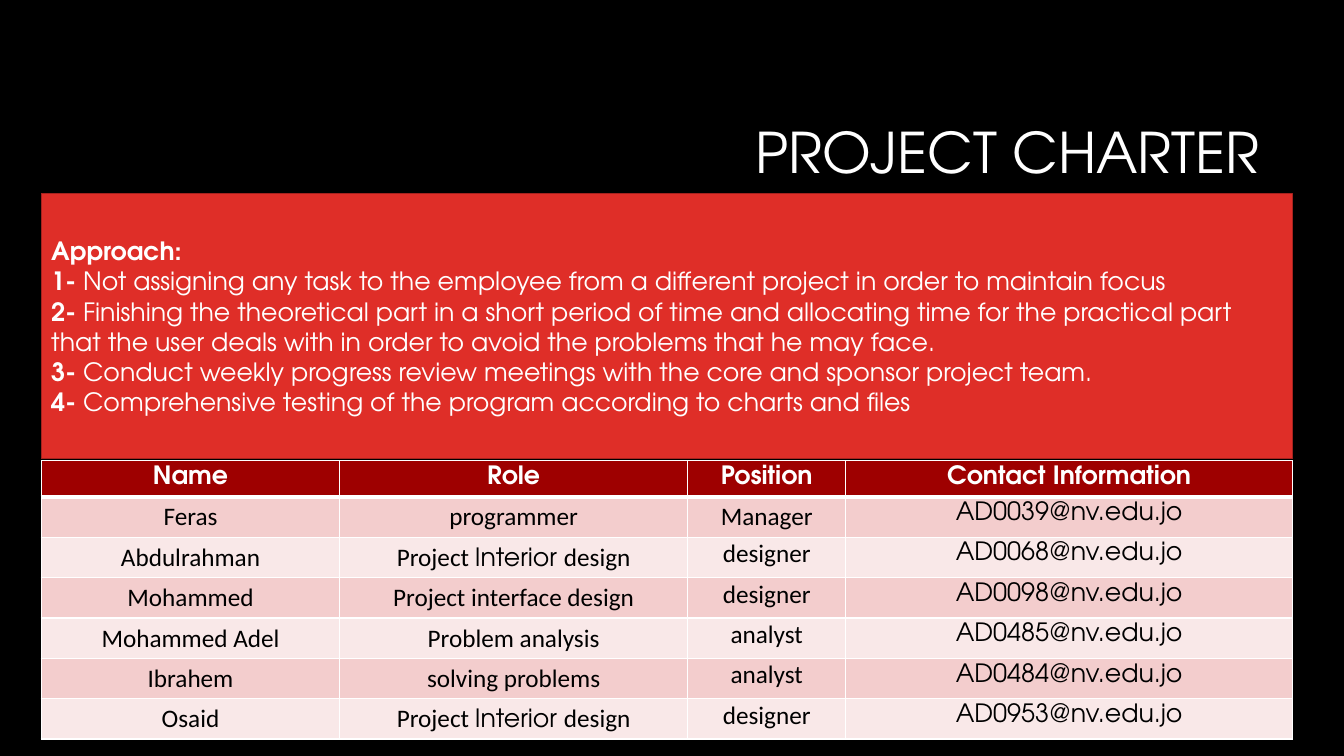
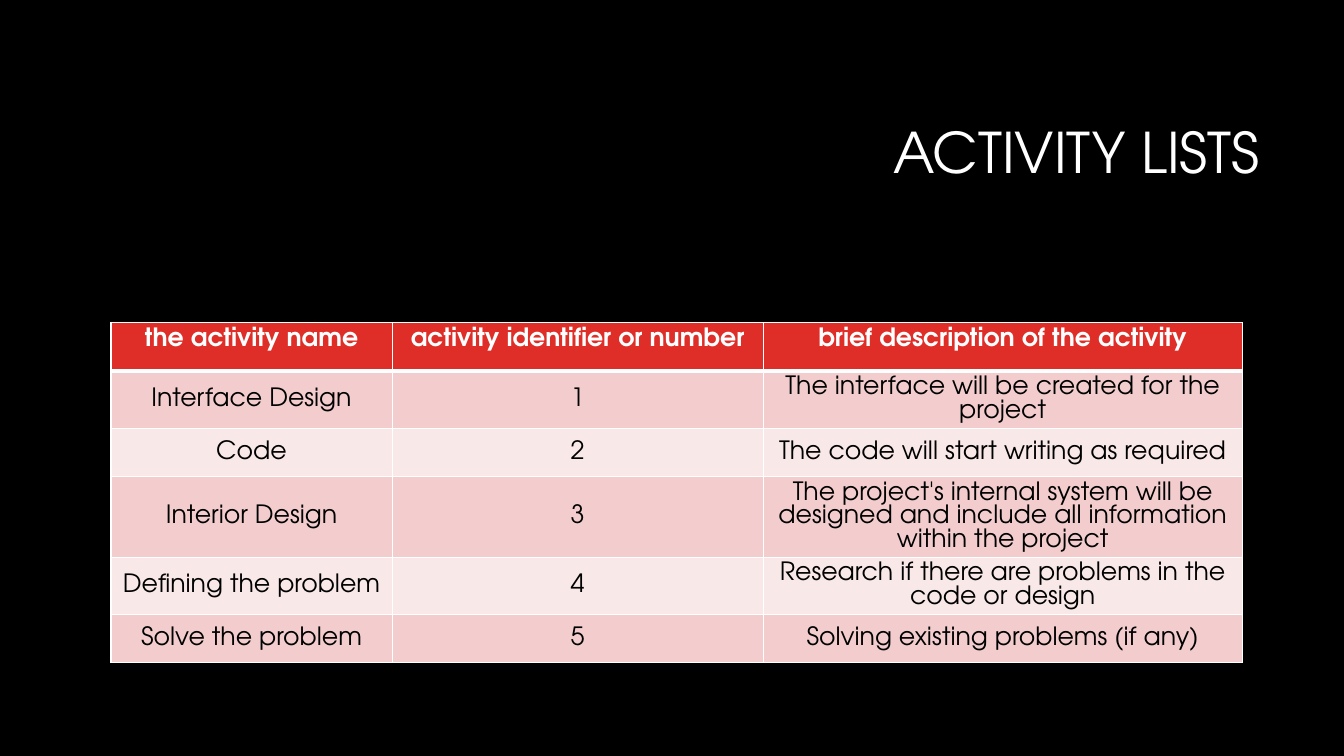
from dataclasses import dataclass

from lxml import etree
from pptx import Presentation
from pptx.dml.color import RGBColor
from pptx.enum.shapes import MSO_SHAPE
from pptx.enum.text import MSO_ANCHOR, PP_ALIGN
from pptx.oxml.ns import qn
from pptx.util import Inches, Pt

RECTANGLE = MSO_SHAPE.RECTANGLE
TOP, MIDDLE = MSO_ANCHOR.TOP, MSO_ANCHOR.MIDDLE
LEFT, CENTER, RIGHT = PP_ALIGN.LEFT, PP_ALIGN.CENTER, PP_ALIGN.RIGHT


@dataclass(frozen=True)
class Theme:
    """Colours, fonts and type sizes shared by the deck."""

    background: str = "000000"
    light: str = "FFFFFF"
    dark: str = "000000"
    red: str = "DF2E28"
    red_line: str = "A5221E"
    deep_red: str = "9E0000"
    bands: tuple = ("F3CDCD", "F9E8E8")
    display_font: str = "TeX Gyre Adventor"
    plain_font: str = "Calibri"
    title_size: int = 40
    body_size: int = 18
    title_spacing: float = 0.9
    panel_spacing: Pt = Pt(21.5)
    table_spacing: Pt = Pt(16.8)
    thin: int = 1
    thick: int = 3


THEME = Theme()

APPROACH = [
    ("Approach:", ""),
    ("1- ", "Not assigning any task to the employee from a different project in order to maintain focus"),
    ("2- ", "Finishing the theoretical part in a short period of time and allocating time for the "
            "practical part that the user deals with in order to avoid the problems that he may face."),
    ("3- ", "Conduct weekly progress review meetings with the core and sponsor project team."),
    ("4- ", "Comprehensive testing of the program according to charts and files"),
]

INTERIOR_ROLE = (
    ("Project ", THEME.plain_font),
    ("Interior ", THEME.display_font),
    ("design", THEME.plain_font),
)

TEAM = [
    ("Name", "Role", "Position", "Contact Information"),
    ("Feras", "programmer", "Manager", "AD0039@nv.edu.jo"),
    ("Abdulrahman", INTERIOR_ROLE, "designer", "AD0068@nv.edu.jo"),
    ("Mohammed", "Project interface design", "designer", "AD0098@nv.edu.jo"),
    ("Mohammed Adel", "Problem analysis", "analyst", "AD0485@nv.edu.jo"),
    ("Ibrahem", "solving problems", "analyst", "AD0484@nv.edu.jo"),
    ("Osaid", INTERIOR_ROLE, "designer", "AD0953@nv.edu.jo"),
]

ACTIVITIES = [
    ("the activity name", "activity identifier or number", "brief description of the activity"),
    ("Interface Design", "1", "The interface will be created for the project"),
    ("Code", "2", "The code will start writing as required"),
    ("Interior Design", "3",
     "The project's internal system will be designed and include all information within the project"),
    ("Defining the problem", "4", "Research if there are problems in the code or design"),
    ("Solve the problem", "5", "Solving existing problems (if any)"),
]


def rgb(value):
    """Turn a hex string into a colour."""
    return RGBColor.from_string(value)


def write_text(para, text, *, font=THEME.display_font, size=THEME.body_size,
               color=THEME.light, bold=False, align=None, spacing=None):
    """Append one formatted span to a paragraph."""
    span = para.add_run()
    span.text = text
    span.font.name = font
    span.font.size = Pt(size)
    span.font.bold = bold
    span.font.color.rgb = rgb(color)
    if align is not None:
        para.alignment = align
    if spacing is not None:
        para.line_spacing = spacing


def add_page(deck, title):
    """Add a page with the shared background and title."""
    page = deck.slides.add_slide(deck.slide_layouts[6])
    page.background.fill.solid()
    page.background.fill.fore_color.rgb = rgb(THEME.background)
    box = page.shapes.add_textbox(Inches(3.17), Inches(0.84), Inches(9.42), Inches(1.41))
    frame = box.text_frame
    frame.word_wrap = True
    frame.vertical_anchor = MIDDLE
    write_text(frame.paragraphs[0], title, size=THEME.title_size, align=RIGHT,
               spacing=THEME.title_spacing)
    return page


def add_panel(page, left, top, width, height, lines):
    """Add a red panel whose lines open with a bold lead."""
    panel = page.shapes.add_shape(RECTANGLE, Inches(left), Inches(top), Inches(width), Inches(height))
    panel.shadow.inherit = False
    panel.fill.solid()
    panel.fill.fore_color.rgb = rgb(THEME.red)
    panel.line.color.rgb = rgb(THEME.red_line)
    panel.line.width = Pt(THEME.thin)
    frame = panel.text_frame
    frame.word_wrap = True
    frame.vertical_anchor = MIDDLE
    for index, (lead, text) in enumerate(lines):
        para = frame.add_paragraph() if index else frame.paragraphs[0]
        write_text(para, lead, bold=True, align=LEFT, spacing=THEME.panel_spacing)
        if text:
            write_text(para, text)


def set_borders(cell, top, bottom):
    """Draw white borders around a cell."""
    properties = cell._tc.get_or_add_tcPr()
    widths = {"a:lnL": THEME.thin, "a:lnR": THEME.thin, "a:lnT": top, "a:lnB": bottom}
    for tag, width in widths.items():
        line = etree.SubElement(properties, qn(tag), w=str(Pt(width)))
        fill = etree.SubElement(line, qn("a:solidFill"))
        etree.SubElement(fill, qn("a:srgbClr"), val=THEME.light)


def fill_cell(cell, content, font, color, bold):
    """Write centred text, given as a string or as spans with fonts."""
    spans = ((content, font),) if isinstance(content, str) else content
    para = cell.text_frame.paragraphs[0]
    para.alignment = CENTER
    if all(name == THEME.display_font for _, name in spans):
        para.line_spacing = THEME.table_spacing
    for text, name in spans:
        write_text(para, text, font=name, color=color, bold=bold)


def add_grid(page, left, top, columns, row_heights, rows, *, header_fill, fonts, anchor=TOP):
    """Add a banded table with a heavy line under its header."""
    frame = page.shapes.add_table(len(rows), len(columns), Inches(left), Inches(top),
                                  Inches(sum(columns)), Inches(sum(row_heights)))
    table = frame.table
    for column, width in zip(table.columns, columns):
        column.width = Inches(width)
    for row, height in zip(table.rows, row_heights):
        row.height = Inches(height)
    for row_index, row in enumerate(rows):
        header = row_index == 0
        band = header_fill if header else THEME.bands[(row_index - 1) % 2]
        for column_index, content in enumerate(row):
            cell = table.cell(row_index, column_index)
            set_borders(cell, THEME.thick if row_index == 1 else THEME.thin,
                        THEME.thick if header else THEME.thin)
            cell.fill.solid()
            cell.fill.fore_color.rgb = rgb(band)
            cell.vertical_anchor = TOP if header else anchor
            fill_cell(cell, content, THEME.display_font if header else fonts[column_index],
                      THEME.light if header else THEME.dark, header)
    return table


def tighten_cell(cell):
    """Drop the vertical margins and loosen the line a little."""
    cell.margin_left = cell.margin_right = Inches(0.07)
    cell.margin_top = cell.margin_bottom = 0
    cell.text_frame.paragraphs[0].line_spacing = 1.05


def add_charter_page(deck):
    """Build the page with the approach and the team."""
    page = add_page(deck, "PROJECT CHARTER")
    add_panel(page, 0.41, 1.92, 12.41, 2.63, APPROACH)
    table = add_grid(page, 0.41, 4.57, [2.96, 3.45, 1.57, 4.43], [0.36] * len(TEAM), TEAM,
                     header_fill=THEME.deep_red,
                     fonts=[THEME.plain_font] * 3 + [THEME.display_font])
    for row_index in range(2, len(TEAM)):
        tighten_cell(table.cell(row_index, 2))


def add_activity_page(deck):
    """Build the page with the list of activities."""
    page = add_page(deck, "ACTIVITY LISTS")
    add_grid(page, 1.1, 3.2, [2.79, 3.68, 4.75], [0.48] * len(ACTIVITIES), ACTIVITIES,
             header_fill=THEME.red, fonts=[THEME.display_font] * 3, anchor=MIDDLE)


def main():
    """Build and save the deck."""
    deck = Presentation()
    deck.slide_width = Inches(13.33)
    deck.slide_height = Inches(7.5)
    add_charter_page(deck)
    add_activity_page(deck)
    deck.save("out.pptx")


if __name__ == "__main__":
    main()
